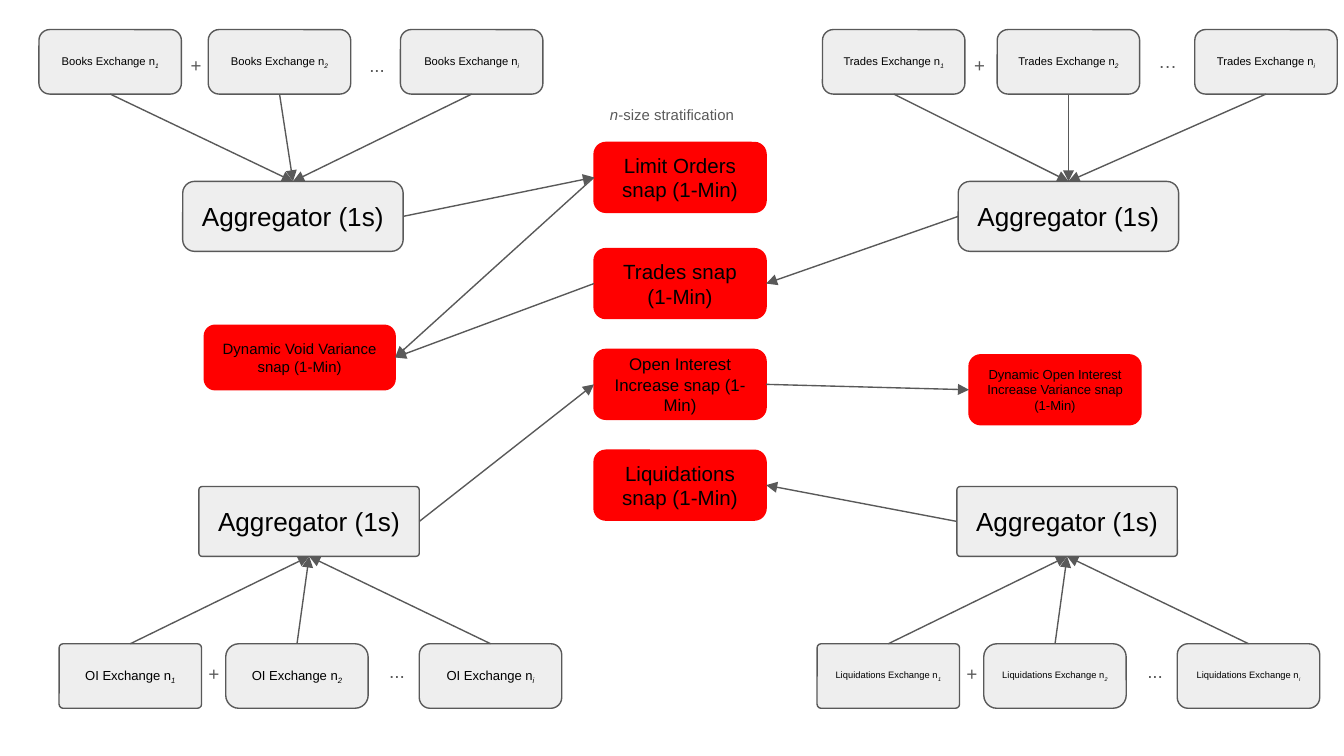
import pptx
import pptx.dml.color
import pptx.enum.shapes
import pptx.enum.text
import pptx.oxml.ns
import pptx.util
from lxml import etree
from pptx.util import Inches

GREY = pptx.dml.color.RGBColor(0x59, 0x59, 0x59)
PALE = pptx.dml.color.RGBColor(0xEE, 0xEE, 0xEE)
RED = pptx.dml.color.RGBColor(0xFF, 0x00, 0x00)
BLACK = pptx.dml.color.RGBColor(0x00, 0x00, 0x00)
TOP, LEFT, BOTTOM, RIGHT = range(4)
EXCHANGE_SIZE = (1.06, 0.48)
AGGREGATOR_SIZE = (1.64, 0.52)
SNAP_SIZE = (1.28, 0.52)


def set_margins(frame):
    frame.word_wrap = True
    frame.margin_left = frame.margin_right = Inches(0.1)
    frame.margin_top = frame.margin_bottom = Inches(0.1)


def style_font(para, size, color):
    para.font.name = "Arial"
    para.font.size = pptx.util.Pt(size)
    para.font.color.rgb = color


def add_node(page, left, top, size, text, points, fill=PALE, line=GREY, corner=0.167, index=None):
    node = page.shapes.add_shape(
        pptx.enum.shapes.MSO_SHAPE.ROUNDED_RECTANGLE, *map(Inches, (left, top, *size)))
    node.adjustments[0] = corner
    node.shadow.inherit = False
    node.fill.solid()
    node.fill.fore_color.rgb = fill
    node.line.color.rgb = line
    node.line.width = pptx.util.Pt(0.75)
    frame = node.text_frame
    set_margins(frame)
    frame.vertical_anchor = pptx.enum.text.MSO_ANCHOR.MIDDLE
    para = frame.paragraphs[0]
    para.alignment = pptx.enum.text.PP_ALIGN.CENTER
    style_font(para, points, BLACK)
    para.add_run().text = text
    if index:
        span = para.add_run()
        span.text = index
        span.font.italic = True
        span.font._element.set("baseline", "-25000")
    return node


def add_label(page, left, top, width, text, points=10, rotation=0, indent=0, italic_start=""):
    box = page.shapes.add_textbox(*map(Inches, (left, top, width, 0.29)))
    box.rotation = rotation
    set_margins(box.text_frame)
    para = box.text_frame.paragraphs[0]
    style_font(para, points, GREY)
    if indent:
        para._p.get_or_add_pPr().set("marL", str(Inches(indent)))
    if italic_start:
        span = para.add_run()
        span.text = italic_start
        span.font.italic = True
    para.add_run().text = text


def add_arrow(page, start, start_side, end, end_side):
    arrow = page.shapes.add_connector(pptx.enum.shapes.MSO_CONNECTOR.STRAIGHT, 0, 0, 0, 0)
    arrow.begin_connect(start, start_side)
    arrow.end_connect(end, end_side)
    arrow.line.color.rgb = GREY
    arrow.line.width = pptx.util.Pt(0.75)
    line = arrow.line._get_or_add_ln()
    etree.SubElement(line, pptx.oxml.ns.qn("a:tailEnd"), type="triangle")
    etree.SubElement(arrow._element.spPr, pptx.oxml.ns.qn("a:effectLst"))


def add_exchange_group(page, left, top, name, points, offsets, aggregator_offset,
                       corners=(0.167,) * 3, aggregator_corner=0.167):
    aggregator = add_node(page, left + aggregator_offset[0], top + aggregator_offset[1],
                          AGGREGATOR_SIZE, "Aggregator (1s)", 14, corner=aggregator_corner)
    is_above = aggregator_offset[1] > 0
    sides = (BOTTOM, TOP) if is_above else (TOP, BOTTOM)
    for offset, index, corner in zip(offsets, "12i", corners):
        exchange = add_node(page, left + offset, top, EXCHANGE_SIZE, f"{name} Exchange n",
                            points, corner=corner, index=index)
        add_arrow(page, exchange, sides[0], aggregator, sides[1])
    return aggregator


def add_upper_group(page, left, top, name, offsets, aggregator_left, dots):
    add_label(page, left + 1.03, top + 0.1, 0.32, "+")
    dots_left, dots_top, dots_width, dots_text, indent = dots
    add_label(page, left + dots_left, top + dots_top, dots_width, dots_text, indent=indent)
    return add_exchange_group(page, left, top, name, 6, offsets, (aggregator_left, 1.13))


def add_lower_group(page, left, top, name, points):
    add_label(page, left + 0.97, top + 0.12, 0.32, "+", rotation=180)
    add_label(page, left + 2.31, top + 0.18, 0.36, "...", rotation=180)
    return add_exchange_group(page, left, top, name, points, (0, 1.24, 2.68), (1.04, -1.17),
                              corners=(0.062, 0.202, 0.167), aggregator_corner=0.048)


def add_snap_column(page, left, top):
    add_label(page, left + 0.02, top - 0.34, 1.28, "-size stratification", 8, italic_start="n")
    snaps = (
        (0, "Limit Orders snap (1-Min)", 11),
        (0.79, "Trades snap (1-Min)", 11),
        (1.54, "Open Interest Increase snap (1-Min)", 9),
        (2.29, "Liquidations snap (1-Min)", 11),
    )
    return [add_node(page, left, top + offset, SNAP_SIZE, text, points, RED, RED)
            for offset, text, points in snaps]


def main():
    deck = pptx.Presentation()
    deck.slide_width = Inches(10)
    deck.slide_height = deck.slide_width * 9 // 16
    page = deck.slides.add_slide(deck.slide_layouts[6])

    books = add_upper_group(page, 0.29, 0.22, "Books", (0, 1.26, 2.69), 1.07,
                            (2.36, 0.1, 0.36, "...", 0))
    trades = add_upper_group(page, 6.12, 0.22, "Trades", (0, 1.3, 2.77), 1.01,
                             (1.9, 0.07, 1.18, "…", 0.5))
    interest = add_lower_group(page, 0.44, 4.79, "OI", 7)
    liquidations = add_lower_group(page, 6.08, 4.79, "Liquidations", 5)

    order_snap, trade_snap, interest_snap, liquidation_snap = add_snap_column(page, 4.42, 1.06)
    void_variance = add_node(page, 1.52, 2.42, (1.42, 0.48),
                             "Dynamic Void Variance snap (1-Min)", 8, RED, RED)
    interest_variance = add_node(page, 7.21, 2.64, SNAP_SIZE,
                                 "Dynamic Open Interest Increase Variance snap (1-Min)", 7, RED, RED)

    for start, start_side, end, end_side in (
        (books, RIGHT, order_snap, LEFT),
        (trades, LEFT, trade_snap, RIGHT),
        (interest, RIGHT, interest_snap, LEFT),
        (liquidations, LEFT, liquidation_snap, RIGHT),
        (order_snap, LEFT, void_variance, RIGHT),
        (trade_snap, LEFT, void_variance, RIGHT),
        (interest_snap, RIGHT, interest_variance, LEFT),
    ):
        add_arrow(page, start, start_side, end, end_side)

    deck.save("out.pptx")


if __name__ == "__main__":
    main()
